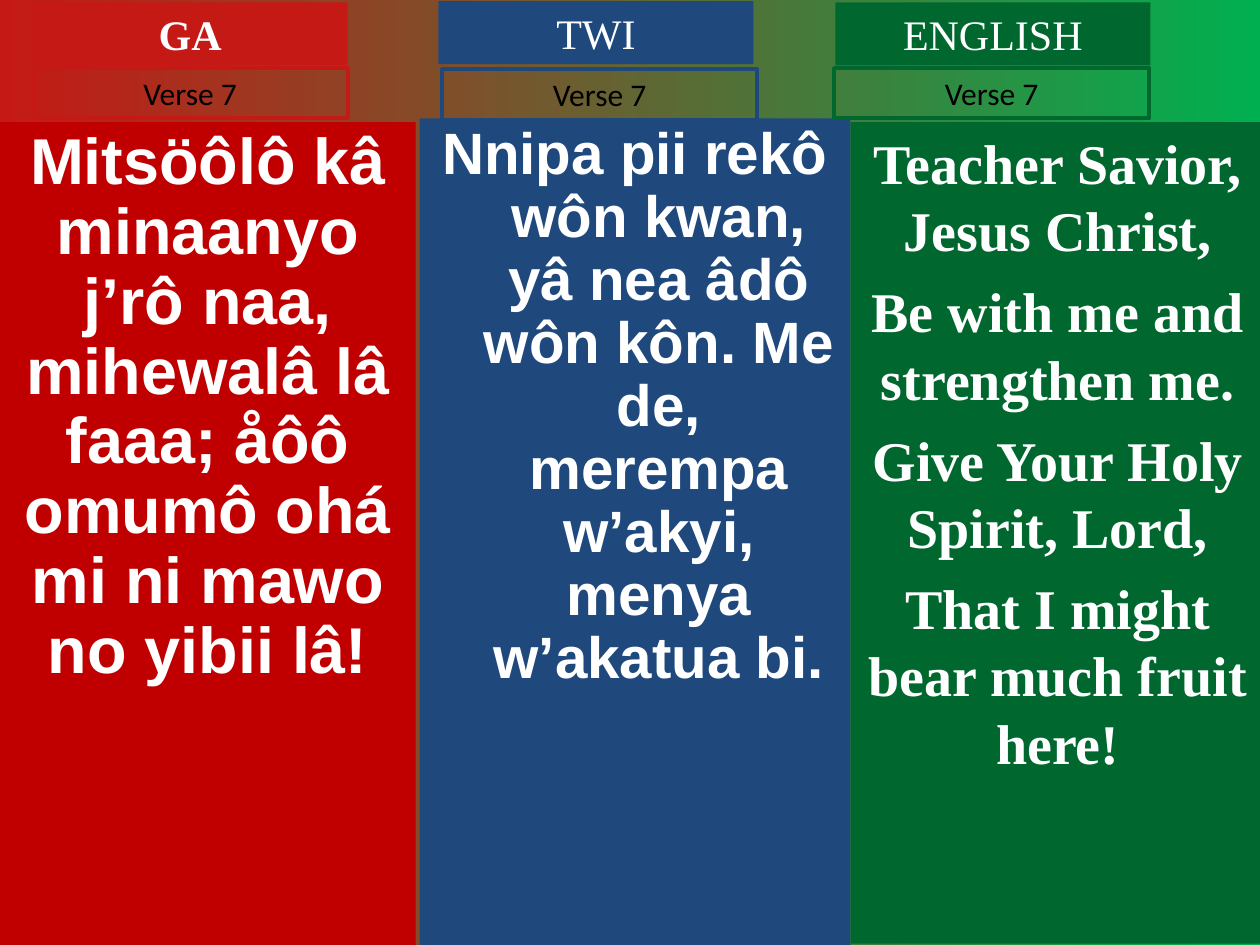
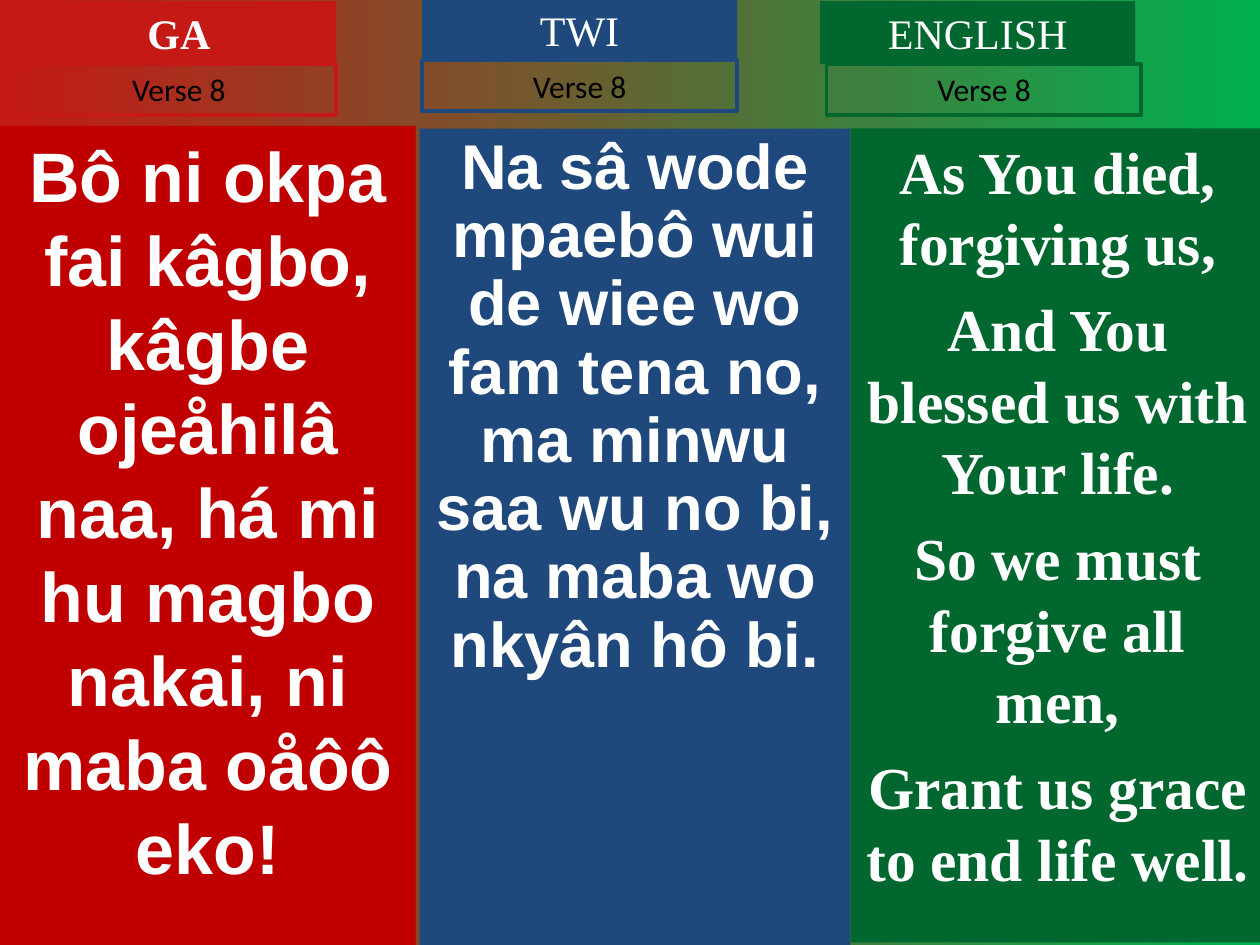
from pptx import Presentation
from pptx.dml.color import RGBColor
from pptx.enum.shapes import MSO_SHAPE
from pptx.enum.text import MSO_ANCHOR, MSO_AUTO_SIZE, PP_ALIGN
from pptx.util import Inches, Pt

RECTANGLE = MSO_SHAPE.RECTANGLE
TOP = MSO_ANCHOR.TOP
CENTER = PP_ALIGN.CENTER
GROW = MSO_AUTO_SIZE.SHAPE_TO_FIT_TEXT
FIXED = MSO_AUTO_SIZE.NONE

RED = RGBColor(0xC5, 0x19, 0x15)
DEEP_RED = RGBColor(0xC0, 0x00, 0x00)
BLUE = RGBColor(0x1F, 0x49, 0x7D)
GREEN = RGBColor(0x00, 0x68, 0x2F)
BRIGHT_GREEN = RGBColor(0x00, 0xB0, 0x50)
WHITE = RGBColor(0xFF, 0xFF, 0xFF)
BLACK = RGBColor(0x00, 0x00, 0x00)

SANS, SERIF = "Arial", "Times New Roman"
LABEL_WIDTH, TITLE_HEIGHT, VERSE_HEIGHT = 2.5, 0.5, 0.4
VERSE_FONT = {"name": "Calibri", "size": Pt(18), "color": BLACK}

LANGUAGES = {
    "GA": {"accent": RED, "panel": DEEP_RED, "left": 0, "width": 3.3,
           "font": SANS, "bold_title": True},
    "TWI": {"accent": BLUE, "panel": BLUE, "left": 3.33, "width": 3.42,
            "font": SANS, "bold_title": False},
    "ENGLISH": {"accent": GREEN, "panel": GREEN, "left": 6.75, "width": 3.29,
                "font": SERIF, "bold_title": False},
}

VERSES = {
    "Verse 7": {
        "GA": {
            "title_at": (0.26, 0.02), "verse_at": (0.26, 0.54),
            "top": 0.97, "height": 6.53, "size": 37,
            "spacing": {"line_spacing": 0.9},
            "lyrics": ["Mitsöôlô kâ minaanyo j’rô naa, mihewalâ lâ faaa; "
                       "åôô omumô ohá mi ni mawo no yibii lâ!"],
        },
        "TWI": {
            "title_at": (3.48, 0.01), "verse_at": (3.51, 0.55),
            "top": 0.94, "height": 6.56, "size": 33.3,
            "spacing": {"line_spacing": 0.9}, "hanging": 0.38,
            "lyrics": ["Nnipa pii rekô wôn kwan, yâ nea âdô wôn kôn. Me de, "
                       "merempa w’akyi, menya w’akatua bi."],
        },
        "ENGLISH": {
            "title_at": (6.63, 0.02), "verse_at": (6.62, 0.54),
            "top": 0.97, "height": 6.52, "size": 32,
            "spacing": {"space_before": Pt(8)},
            "lyrics": ["Teacher Savior, Jesus Christ,",
                       "Be with me and strengthen me.",
                       "Give Your Holy Spirit, Lord,",
                       "That I might bear much fruit here!"],
        },
    },
    "Verse 8": {
        "GA": {
            "title_at": (0.17, 0.01), "verse_at": (0.17, 0.51),
            "top": 1, "height": 6.5, "size": 40, "spacing": {},
            "lyrics": ["Bô ni okpa fai kâgbo, kâgbe ojeåhilâ naa, há mi hu "
                       "magbo nakai, ni maba oåôô eko!"],
        },
        "TWI": {
            "title_at": (3.35, -0.01), "verse_at": (3.35, 0.48),
            "top": 1.02, "height": 6.48, "size": 36.1,
            "spacing": {"line_spacing": 0.9},
            "lyrics": ["Na sâ wode mpaebô wui de wiee wo fam tena no, ma minwu "
                       "saa wu no bi, na maba wo nkyân hô bi."],
        },
        "ENGLISH": {
            "title_at": (6.51, 0.01), "verse_at": (6.56, 0.51),
            "top": 1.02, "height": 6.46, "size": 34,
            "spacing": {"space_before": Pt(8.5)},
            "lyrics": ["As You died, forgiving us,",
                       "And You blessed us with Your life.",
                       "So we must forgive all men,",
                       "Grant us grace to end life well."],
        },
    },
}


def set_values(target, values):
    """Set each named attribute of the target."""
    for name, value in values.items():
        setattr(target, name, value)


def paint_background(slide):
    """Fill the slide with the red to green gradient."""
    fill = slide.background.fill
    fill.gradient()
    fill.gradient_angle = 0
    for stop, color in zip(fill.gradient_stops, (RED, BRIGHT_GREEN)):
        stop.color.rgb = color


def add_box(slide, box, fill=None, outline=None, auto_size=FIXED):
    """Add a rectangle and return its text frame."""
    rectangle = slide.shapes.add_shape(RECTANGLE, *map(Inches, box))
    rectangle.shadow.inherit = False
    if fill is None:
        rectangle.fill.background()
    else:
        rectangle.fill.solid()
        rectangle.fill.fore_color.rgb = fill
    if outline is None:
        rectangle.line.fill.background()
    else:
        rectangle.line.color.rgb = outline
        rectangle.line.width = Pt(2.25)
    frame = rectangle.text_frame
    set_values(frame, {"word_wrap": True, "vertical_anchor": TOP,
                       "auto_size": auto_size})
    return frame


def write_lines(frame, lines, font, spacing=None, hanging=0):
    """Write centred paragraphs, with space only between them."""
    for index, line in enumerate(lines):
        paragraph = frame.add_paragraph() if index else frame.paragraphs[0]
        set_values(paragraph, {"alignment": CENTER, **(spacing or {})})
        if index == 0:
            paragraph.space_before = None
        if hanging:
            properties = paragraph._p.get_or_add_pPr()
            properties.set("marL", str(Inches(hanging)))
            properties.set("indent", str(-Inches(hanging)))
        run = paragraph.add_run()
        run.text = line
        set_values(run.font, {key: value for key, value in font.items()
                              if key != "color"})
        run.font.color.rgb = font["color"]


def add_lyrics(slide, language, part):
    """Add the coloured panel that holds the lyrics of one language."""
    box = language["left"], part["top"], language["width"], part["height"]
    font = {"name": language["font"], "size": Pt(part["size"]),
            "bold": True, "color": WHITE}
    write_lines(add_box(slide, box, fill=language["panel"]), part["lyrics"],
                font, part["spacing"], part.get("hanging", 0))


def add_heading(slide, title, verse, language, part):
    """Add the language title and the outlined verse label below it."""
    title_font = {"name": SERIF, "size": Pt(24),
                  "bold": language["bold_title"], "color": WHITE}
    title_box = (*part["title_at"], LABEL_WIDTH, TITLE_HEIGHT)
    verse_box = (*part["verse_at"], LABEL_WIDTH, VERSE_HEIGHT)
    write_lines(add_box(slide, title_box, fill=language["accent"],
                        auto_size=GROW), [title], title_font)
    write_lines(add_box(slide, verse_box, outline=language["accent"],
                        auto_size=GROW), [verse], VERSE_FONT)


def main():
    """Build one slide for each verse of the hymn."""
    presentation = Presentation()
    presentation.slide_width = Inches(10)
    presentation.slide_height = Inches(7.5)
    for verse, parts in VERSES.items():
        slide = presentation.slides.add_slide(presentation.slide_layouts[6])
        paint_background(slide)
        for title, part in parts.items():
            add_lyrics(slide, LANGUAGES[title], part)
        for title, part in parts.items():
            add_heading(slide, title, verse, LANGUAGES[title], part)
    presentation.save("out.pptx")


if __name__ == "__main__":
    main()
